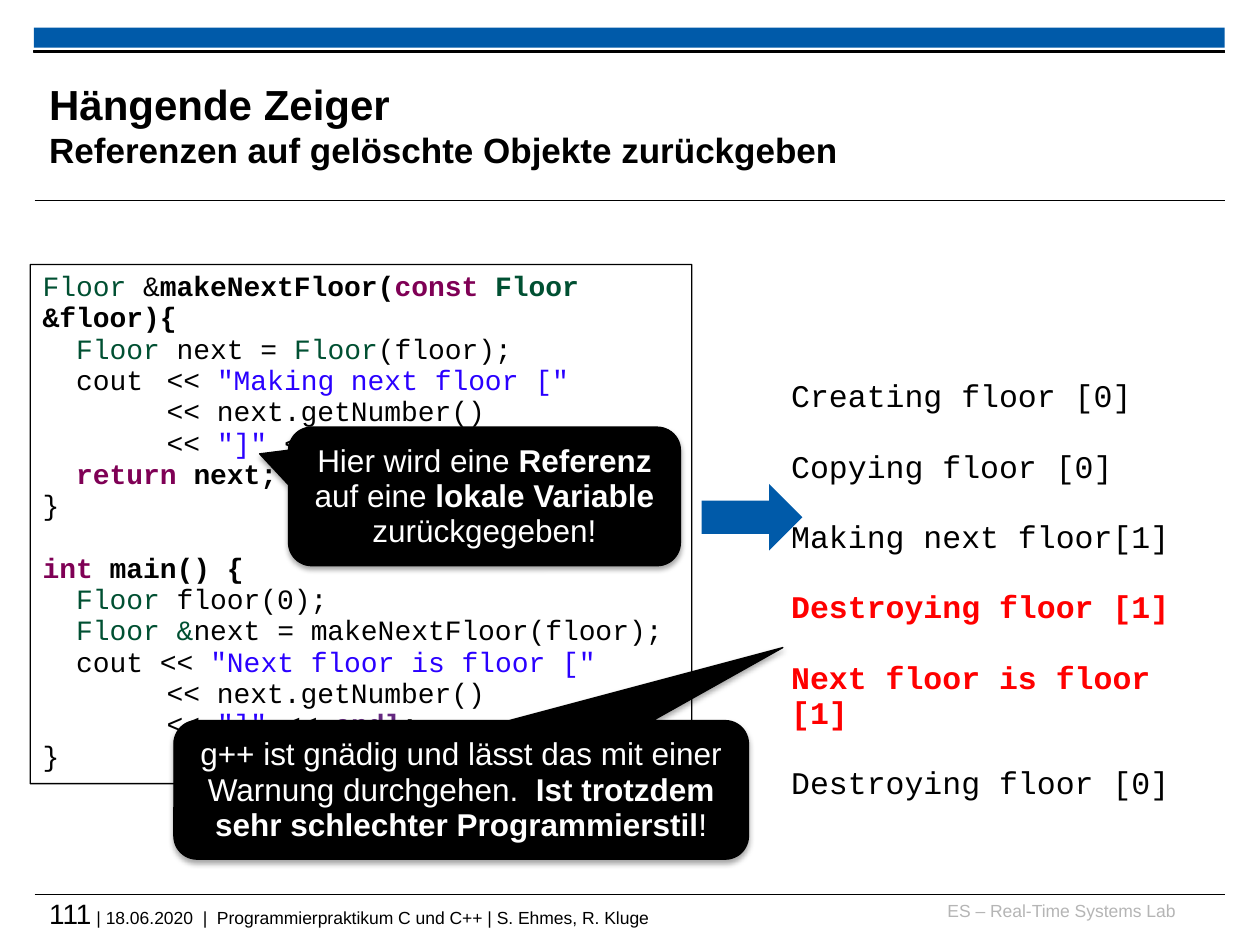
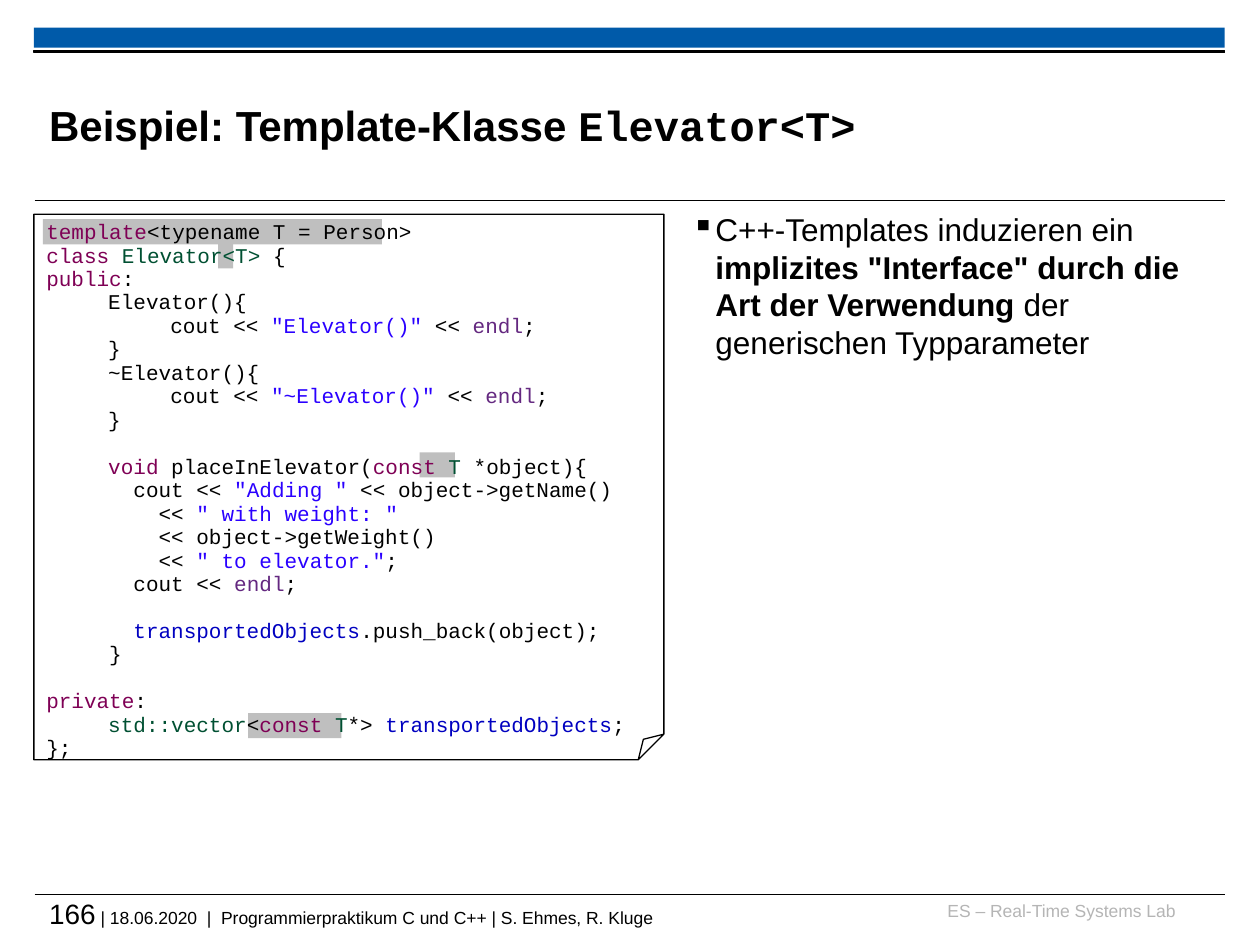
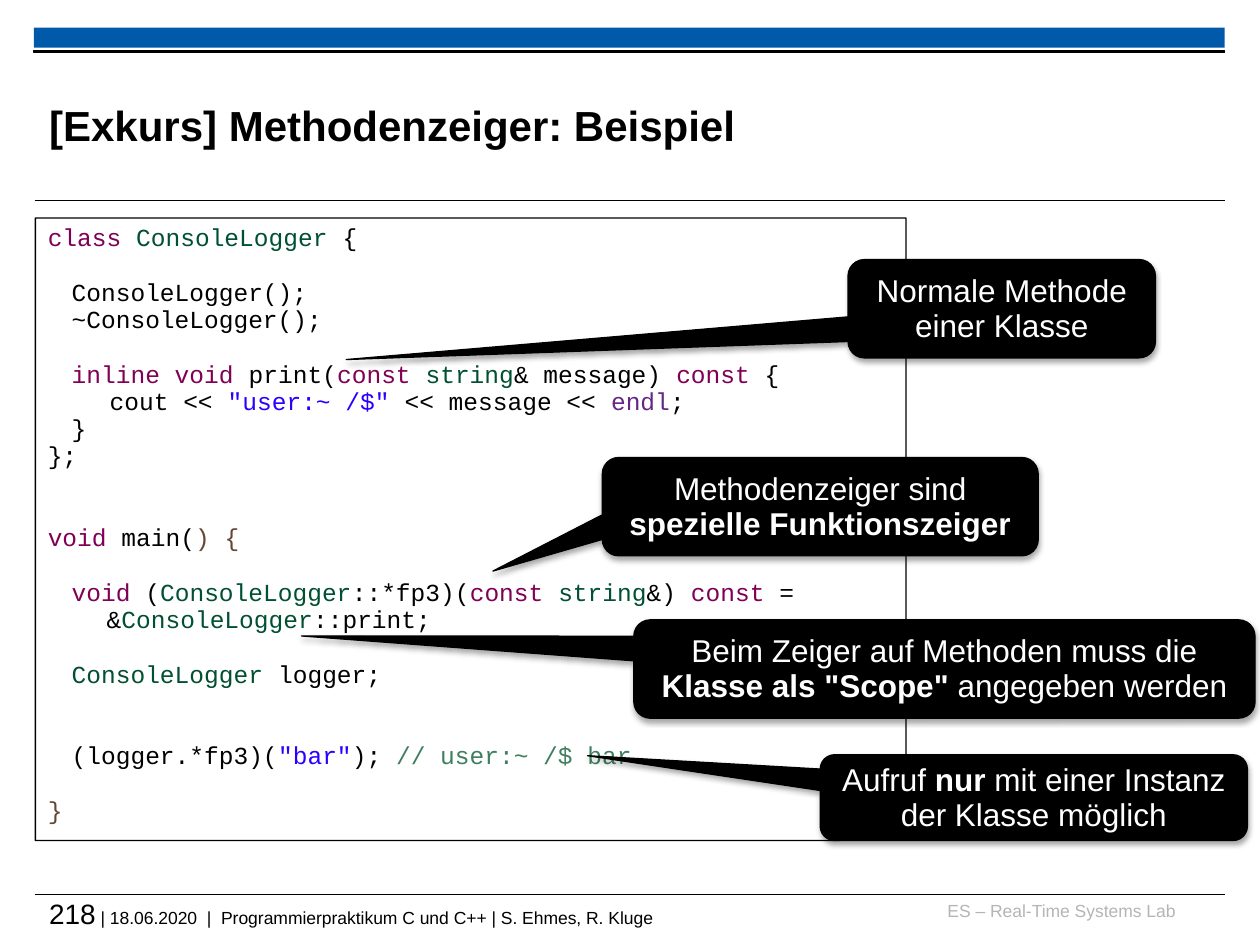
import pptx
import pptx.util
import pptx.dml.color
import pptx.enum.shapes
import pptx.enum.text
import pptx.oxml
import pptx.oxml.ns
import lxml.etree

Pt = pptx.util.Pt
RGB = pptx.dml.color.RGBColor.from_string
qn = pptx.oxml.ns.qn
Kind = pptx.enum.shapes.MSO_SHAPE
Align = pptx.enum.text.PP_ALIGN
Anchor = pptx.enum.text.MSO_ANCHOR

hues = {
    "blue": "005AA9", "grey": "BFBFBF",
    "n": "000000", "w": "FFFFFF", "l": "B5B5B5", "r": "FF0000",
    "k": "7F0055", "t": "005032", "s": "2A00FF", "e": "642880",
    "f": "0000C0", "p": "644632", "c": "3F7F5F",
}
mono = "Courier New"
pitch = 1.117


def draw(slide, kind, box, fill=None, line=None, adj=()):
    shape = slide.shapes.add_shape(kind, *[Pt(v) for v in box])
    shape.shadow.inherit = False
    if adj:
        guides = shape.element.spPr.find(qn("a:prstGeom")).find(qn("a:avLst"))
        for guide in list(guides):
            guides.remove(guide)
        for i, v in enumerate(adj, 1):
            name = f"adj{i}" if len(adj) > 1 else "adj"
            lxml.etree.SubElement(guides, qn("a:gd"), name=name, fmla=f"val {round(v * 100000)}")
    if fill:
        shape.fill.solid()
        shape.fill.fore_color.rgb = RGB(hues[fill])
    else:
        shape.fill.background()
    if line:
        shape.line.color.rgb = RGB(hues[line])
        shape.line.width = Pt(0.75)
    else:
        shape.line.fill.background()
    return shape


def write(frame, lines, size, font="Arial", align=Align.LEFT, anchor=Anchor.TOP,
          lead=None, gap=0, tabs=(), flush=False):
    frame.word_wrap = True
    frame.auto_size = pptx.enum.text.MSO_AUTO_SIZE.NONE
    frame.vertical_anchor = anchor
    if flush:
        frame.margin_left = frame.margin_right = 0
        frame.margin_top = frame.margin_bottom = 0
    for i, line in enumerate(lines):
        para = frame.add_paragraph() if i else frame.paragraphs[0]
        para.alignment = align
        if lead:
            para.line_spacing = Pt(round(size * lead, 1))
        if gap and i:
            para.space_before = Pt(gap)
        if tabs:
            stops = lxml.etree.SubElement(para._p.get_or_add_pPr(), qn("a:tabLst"))
            for stop in tabs:
                lxml.etree.SubElement(stops, qn("a:tab"), pos=str(Pt(stop)), algn="l")
        for piece in line.split("¦") if line else []:
            tone, _, text = piece.partition(":")
            run = para.add_run()
            run.text = text
            run.font.name = font
            run.font.size = Pt(size)
            run.font.bold = tone.isupper()
            run.font.color.rgb = RGB(hues[tone.lower()])


pages = [
    {
        "num": "111",
        "title": ["N:Hängende Zeiger", "N:Referenzen auf gelöschte Objekte zurückgeben"],
        "box": (17.3, 151.2, 378, 296.6), "fold": 0.065, "size": 16, "tabs": (35.4, 70.9),
        "code": [
            "t:Floor¦n: &¦N:makeNextFloor(¦K:const ¦T:Floor ¦N:&floor){",
            "t:  Floor ¦n:next = ¦t:Floor¦n:(floor);",
            'n:  cout\t<< ¦s:"Making next floor ["',
            "n:\t   \t<< next.getNumber()",
            'n:\t\t<< ¦s:"]"¦n: << ¦E:endl¦N:;',
            "K:  return ¦N:next;",
            "n:}",
            "",
            "K:int ¦N:main() {",
            "t:  Floor ¦n:floor(0);",
            "t:  Floor &¦n:next = makeNextFloor(floor);",
            'n:  cout << ¦s:"Next floor is floor ["',
            "n:\t\t<< next.getNumber()",
            'n:\t\t<< ¦s:"]"¦n: << ¦E:endl¦N:;',
            "n:}",
        ],
        "calls": [
            ((99.4, 411.8, 328.3, 79.2), (0.56, -1.027),
             "w:g++ ist gnädig und lässt das mit einer Warnung durchgehen.  "
             "¦W:Ist trotzdem sehr schlechter Programmierstil¦w:!"),
            ((164.9, 244.1, 223.9, 79.2), (-0.574, -0.307),
             "w:Hier wird eine ¦W:Referenz¦w: auf eine ¦W:lokale Variable ¦w:zurückgegeben!"),
        ],
    },
    {
        "num": "166",
        "title": ["N:Beispiel: Template-Klasse ¦N:Elevator<T>"],
        "box": (19.4, 122.4, 360, 311.8), "fold": 0.047, "size": 12, "tabs": (35.4, 70.9),
        "code": [
            "k:template¦n:<typename T = Person>",
            "k:class ¦t:Elevator<T>¦n: {",
            "k:public¦n::",
            "n:\tElevator(){",
            'n:\t\tcout << ¦s:"Elevator()"¦n: << ¦e:endl¦n:;',
            "n:\t}",
            "n:\t~Elevator(){",
            'n:\t\tcout << ¦s:"~Elevator()"¦n: << ¦e:endl¦n:;',
            "n:\t}",
            "",
            "k:\tvoid ¦n:placeInElevator(¦k:const ¦t:T ¦n:*object){",
            'n:\t  cout << ¦s:"Adding "¦n: << object->getName()',
            'n:\t    << ¦s:" with weight: "',
            "n: \t    << object->getWeight()",
            'n:\t    << ¦s:" to elevator."¦n:;',
            "n:\t  cout << ¦e:endl¦n:;",
            "",
            "f:\t  transportedObjects¦n:.push_back(object);",
            "n:     }",
            "",
            "k:private¦n::",
            "t:\tstd::vector¦n:<¦k:const ¦t:T¦n:*> ¦f:transportedObjects¦n:;",
            "n:};",
        ],
        "marks": [(124.6, 139, 8.6), (239.8, 258.5, 20.2), (141.8, 407.5, 53.3), (24.5, 125.3, 193.7)],
    },
    {
        "num": "218",
        "title": ["N:[Exkurs] Methodenzeiger: Beispiel"],
        "box": (20.2, 124.6, 497.5, 355.7), "fold": 0.107, "size": 14, "tabs": (13.7, 35.4),
        "code": [
            "k:class ¦t:ConsoleLogger¦n: {",
            "",
            "n:\tConsoleLogger();",
            "n:\t~ConsoleLogger();",
            "",
            "k:\tinline void¦n: print(¦k:const ¦t:string¦n:& message) ¦k:const¦n: {",
            'n:\t\tcout << ¦s:"user:~ /$" ¦n:<< message << ¦e:endl¦n:;',
            "n:\t}",
            "n:};",
            "",
            "",
            "k:void¦n: main(¦p:) {",
            "",
            "k:\tvoid¦n: (¦t:ConsoleLogger¦n:::*fp3)(¦k:const ¦t:string¦n:&) ¦k:const¦n: =",
            "n:    &¦t:ConsoleLogger¦n:::print;",
            "",
            "t:\tConsoleLogger ¦n:logger;",
            "",
            "",
            'n:\t(logger.*fp3)(¦s:"bar"¦n:); ¦c:// user:~ /$ bar',
            "",
            "p:}",
        ],
        "calls": [
            ((484.6, 148.3, 175.7, 56.2), (-2.132, 0.517), "w:Normale Methode einer Klasse"),
            ((344.2, 261.4, 249.1, 56.2), (-0.751, 0.655),
             "w:Methodenzeiger sind ¦W:spezielle Funktionszeiger"),
            ((362.2, 354.2, 355, 56.2), (-1.035, -0.336),
             'w:Beim Zeiger auf Methoden muss die ¦W:Klasse als "Scope" ¦w:angegeben werden'),
            ((468.7, 431.3, 244.1, 49), (-1.045, -0.489),
             "w:Aufruf ¦W:nur ¦w:mit einer Instanz der Klasse möglich"),
        ],
    },
]

deck = pptx.Presentation()
deck.slide_width, deck.slide_height = Pt(720), Pt(540)

for page in pages:
    slide = deck.slides.add_slide(deck.slide_layouts[5])
    shapes = slide.shapes

    draw(slide, Kind.RECTANGLE, (19.4, 15.8, 680.4, 11.5), "blue")
    draw(slide, Kind.RECTANGLE, (19.4, 28.8, 680.4, 1.4), "n", "n")
    for y in (114.5, 511.2):
        rule = shapes.add_connector(pptx.enum.shapes.MSO_CONNECTOR.STRAIGHT,
                                    Pt(19.8), Pt(y), Pt(700.2), Pt(y))
        rule.line.color.rgb = RGB(hues["n"])
        rule.line.width = Pt(0.6)
        lxml.etree.SubElement(rule.element.spPr, qn("a:effectLst"))

    lab = shapes.add_textbox(Pt(529.9), Pt(514.1), Pt(141.8), Pt(18)).text_frame
    write(lab, ["l:ES – Real-Time Systems Lab"], 10, align=Align.RIGHT, flush=True)
    foot = shapes.add_textbox(Pt(28.1), Pt(512.6), Pt(671.8), Pt(23.8)).text_frame
    write(foot, ["n:" + page["num"] + "¦n: | 18.06.2020  |  Programmierpraktikum C und C++"
                 " | S. Ehmes, R. Kluge"], 10, flush=True)
    foot.paragraphs[0].runs[0].font.size = Pt(16)

    title = shapes.title
    title.left, title.top, title.width, title.height = Pt(28.1), Pt(38.2), Pt(541.4), Pt(66.2)
    write(title.text_frame, page["title"], 24, anchor=Anchor.MIDDLE, flush=True)
    for para in title.text_frame.paragraphs[1:]:
        para.runs[0].font.size = Pt(20)
    for run in title.text_frame.paragraphs[0].runs[1:]:
        run.font.name = mono

    for x, y, w in page.get("marks", []):
        draw(slide, Kind.RECTANGLE, (x, y, w, 14.4), "grey")

    code = draw(slide, Kind.FOLDED_CORNER, page["box"], line="n", adj=(page["fold"],))
    write(code.text_frame, page["code"], page["size"], mono, lead=pitch, tabs=page["tabs"])

    if page["num"] == "111":
        log = shapes.add_textbox(Pt(445), Pt(213.1), Pt(255.6), Pt(230.4)).text_frame
        write(log, ["n:Creating floor [0]", "n:Copying floor [0]", "n:Making next floor[1]",
                    "R:Destroying floor [1]", "R:Next floor is floor [1]",
                    "n:Destroying floor [0]"], 18, mono, lead=pitch, gap=20.1)
        draw(slide, Kind.RIGHT_ARROW, (401, 276.5, 57.6, 38.2), "blue", adj=(0.5, 0.5))

    if page["num"] == "166":
        note = shapes.add_textbox(Pt(388.1), Pt(116.6), Pt(311.8), Pt(317.5)).text_frame
        write(note, ['n:C++-Templates induzieren ein ¦N:implizites "Interface" durch die Art der '
                     "Verwendung ¦n:der generischen Typparameter"], 18, lead=1.195)
        props = note.paragraphs[0]._p.get_or_add_pPr()
        props.set("marL", str(Pt(13.7)))
        props.set("indent", str(-Pt(13.7)))
        lxml.etree.SubElement(props, qn("a:buChar"), char="▪")

    for box, tip, text in page.get("calls", []):
        call = draw(slide, Kind.ROUNDED_RECTANGULAR_CALLOUT, box, "n", "n", (*tip, 0.167))
        glow = lxml.etree.SubElement(
            call.element.spPr.find(qn("a:effectLst")), qn("a:outerShdw"),
            blurRad=str(Pt(3.1)), dist=str(Pt(1.8)), dir="5400000", rotWithShape="0")
        tint = lxml.etree.SubElement(glow, qn("a:srgbClr"), val=hues["n"])
        lxml.etree.SubElement(tint, qn("a:alpha"), val="35000")
        write(call.text_frame, [text], 18, align=Align.CENTER, anchor=Anchor.MIDDLE, lead=pitch)

deck.save("out.pptx")
